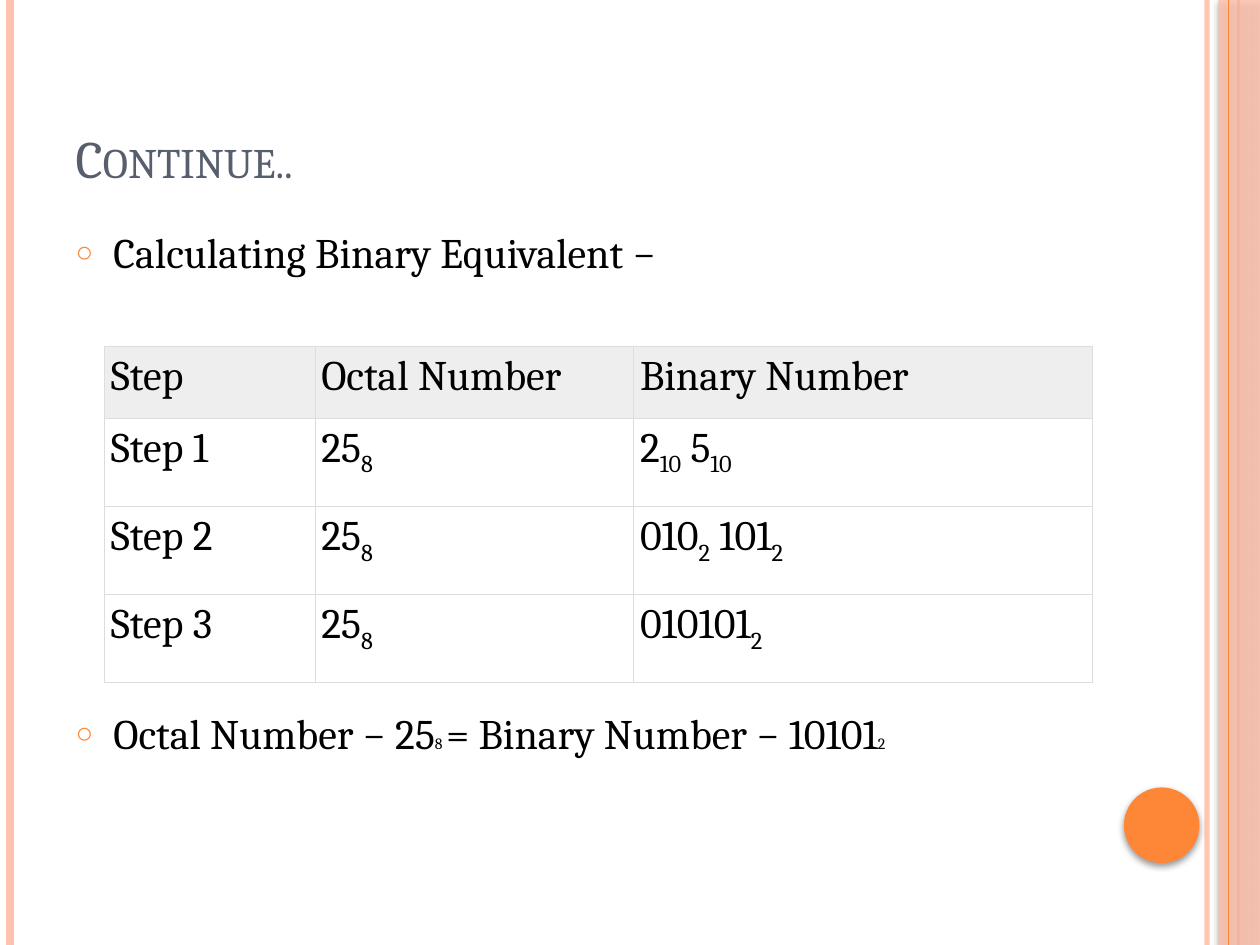
from dataclasses import dataclass

import pptx
import pptx.dml.color
import pptx.enum.shapes
import pptx.enum.text
import pptx.oxml
import pptx.oxml.ns
import pptx.util
from pptx.util import Inches, Pt

MSO_SHAPE = pptx.enum.shapes.MSO_SHAPE
NS = pptx.oxml.ns.nsdecls("a")
qn = pptx.oxml.ns.qn


@dataclass(frozen=True)
class Theme:
    font: str = "Cambria"
    title: str = "575F6D"
    text: str = "000000"
    accent: str = "FE8637"
    pale: str = "FEC2AE"
    header: str = "EEEEEE"
    border: str = "DDDDDD"
    title_size: float = 30
    body_size: float = 24
    small_size: float = 9


@dataclass(frozen=True)
class Rule:
    x: float
    color: str
    width: float
    alpha: int = 100


@dataclass(frozen=True)
class Block:
    shape: int
    box: tuple
    color: str
    alpha: int = 100


THEME = Theme()
RULES_BEHIND = [
    Rule(9.58, THEME.pale, 3, 93),
    Rule(0.08, THEME.pale, 4.5),
    Rule(9.83, THEME.accent, 1.5),
]
BAND = Block(MSO_SHAPE.RECTANGLE, (9.67, 0, 0.33, 7.5), THEME.pale, 87)
RULE_OVER_BAND = Rule(9.75, THEME.accent, 0.75)
DOT = Block(MSO_SHAPE.OVAL, (8.92, 6.25, 0.6, 0.6), THEME.accent)

# Text between bars is lowered or made small.
TABLE_ROWS = [
    ("Step", "Octal Number", "Binary Number"),
    ("Step 1", "25|8|", "2|10| 5|10|"),
    ("Step 2", "25|8|", "010|2| 101|2|"),
    ("Step 3", "25|8|", "010101|2|"),
]
COLUMN_WIDTHS = (1.67, 2.53, 3.64)
ROW_HEIGHTS = (0.57, 0.7, 0.7, 0.7)


def rgb(value: str):
    return pptx.dml.color.RGBColor.from_string(value)


def add_text(p, text: str, *, size=THEME.body_size, color=THEME.text,
             small_caps=False, marked_size=None) -> None:
    """Add runs; parts between bars get marked_size, or become subscripts."""
    for i, part in enumerate(text.split("|")):
        if not part:
            continue
        r = p.add_run()
        r.text = part
        marked = i % 2 == 1
        r.font.size = Pt(marked_size if marked and marked_size else size)
        r.font.name = THEME.font
        r.font.bold = False
        r.font.color.rgb = rgb(color)
        if small_caps:
            r.font._element.set("cap", "small")
        if marked and not marked_size:
            r.font._element.set("baseline", "-25000")


def set_alpha(parent, percent: int) -> None:
    if percent < 100:
        color = next(parent.iter(qn("a:srgbClr")))
        color.append(pptx.oxml.parse_xml(f'<a:alpha {NS} val="{percent * 1000}"/>'))


def add_rule(slide, rule: Rule) -> None:
    x = Inches(rule.x)
    line = slide.shapes.add_connector(
        pptx.enum.shapes.MSO_CONNECTOR.STRAIGHT, x, 0, x, Inches(7.5))
    line.line.color.rgb = rgb(rule.color)
    line.line.width = Pt(rule.width)
    sp_pr = line._element.spPr
    set_alpha(sp_pr, rule.alpha)
    sp_pr.append(pptx.oxml.parse_xml(f"<a:effectLst {NS}/>"))


def add_block(slide, block: Block) -> None:
    sp = slide.shapes.add_shape(block.shape, *map(Inches, block.box))
    sp.fill.solid()
    sp.fill.fore_color.rgb = rgb(block.color)
    sp.line.fill.background()
    sp.shadow.inherit = False
    sp_pr = sp._element.spPr
    set_alpha(sp_pr, block.alpha)
    sp_pr.find(qn("a:effectLst")).append(pptx.oxml.parse_xml(
        f'<a:outerShdw {NS} blurRad="{Pt(4)}" dist="{Pt(2)}" dir="5400000" '
        'rotWithShape="0"><a:srgbClr val="000000"><a:alpha val="40000"/>'
        "</a:srgbClr></a:outerShdw>"))


def place(sp, left: float, top: float, width: float, height: float):
    sp.left, sp.top, sp.width, sp.height = map(Inches, (left, top, width, height))
    tf = sp.text_frame
    tf.word_wrap = True
    tf.auto_size = pptx.enum.text.MSO_AUTO_SIZE.NONE
    return tf


def add_bullet(p, space_before: float, text: str, **fmt) -> None:
    p_pr = p._p.get_or_add_pPr()
    p_pr.set("marL", str(Inches(0.3)))
    p_pr.set("indent", str(Inches(-0.3)))
    p.space_before = Pt(space_before)
    for xml in (f'<a:buClr {NS}><a:srgbClr val="{THEME.accent}"/></a:buClr>',
                f'<a:buSzPct {NS} val="70000"/>',
                f'<a:buChar {NS} char="○"/>'):
        p_pr.append(pptx.oxml.parse_xml(xml))
    add_text(p, text, **fmt)


def set_borders(cell) -> None:
    tc_pr = cell._tc.get_or_add_tcPr()
    for i, side in enumerate(("lnL", "lnR", "lnT", "lnB")):
        tc_pr.insert(i, pptx.oxml.parse_xml(
            f'<a:{side} {NS} w="{Pt(0.5)}"><a:solidFill>'
            f'<a:srgbClr val="{THEME.border}"/></a:solidFill></a:{side}>'))


def add_steps_table(slide) -> None:
    table = slide.shapes.add_table(
        len(TABLE_ROWS), len(COLUMN_WIDTHS), Inches(0.83), Inches(2.75),
        Inches(sum(COLUMN_WIDTHS)), Inches(sum(ROW_HEIGHTS))).table
    table.first_row = table.horz_banding = False
    for column, width in zip(table.columns, COLUMN_WIDTHS):
        column.width = Inches(width)
    for i, (row, height) in enumerate(zip(table.rows, ROW_HEIGHTS)):
        row.height = Inches(height)
        for cell, text in zip(row.cells, TABLE_ROWS[i]):
            cell.margin_left = cell.margin_right = Inches(0.05)
            cell.margin_top = cell.margin_bottom = Inches(0.05)
            if i == 0:
                cell.fill.solid()
                cell.fill.fore_color.rgb = rgb(THEME.header)
            else:
                cell.fill.background()
            set_borders(cell)
            add_text(cell.text_frame.paragraphs[0], text)


def main() -> None:
    prs = pptx.Presentation()
    prs.slide_width, prs.slide_height = Inches(10), Inches(7.5)
    slide = prs.slides.add_slide(prs.slide_layouts[1])

    for rule in RULES_BEHIND:
        add_rule(slide, rule)
    add_block(slide, BAND)
    add_rule(slide, RULE_OVER_BAND)
    add_block(slide, DOT)

    tf = place(slide.shapes.title, 0.5, 0.3, 8.17, 1.25)
    tf.vertical_anchor = pptx.enum.text.MSO_ANCHOR.BOTTOM
    p = tf.paragraphs[0]
    p.alignment = pptx.enum.text.PP_ALIGN.LEFT
    add_text(p, "Continue..", size=THEME.title_size, color=THEME.title,
             small_caps=True)

    tf = place(slide.placeholders[1], 0.5, 1.75, 8.17, 5.33)
    add_bullet(tf.paragraphs[0], 0, "Calculating Binary Equivalent −")
    add_bullet(tf.add_paragraph(), 246,
               "Octal Number − 25|8 |= Binary Number − 10101|2|",
               marked_size=THEME.small_size)

    add_steps_table(slide)
    prs.save("out.pptx")


if __name__ == "__main__":
    main()
